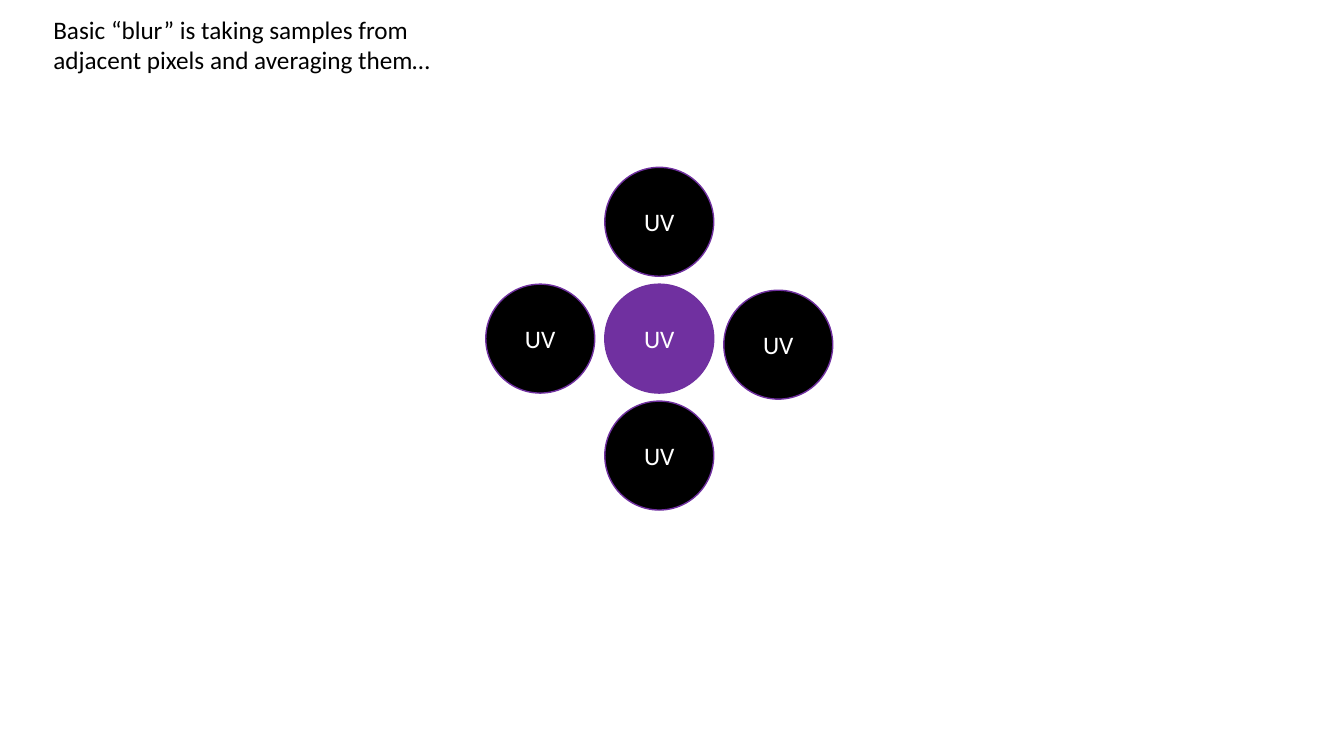
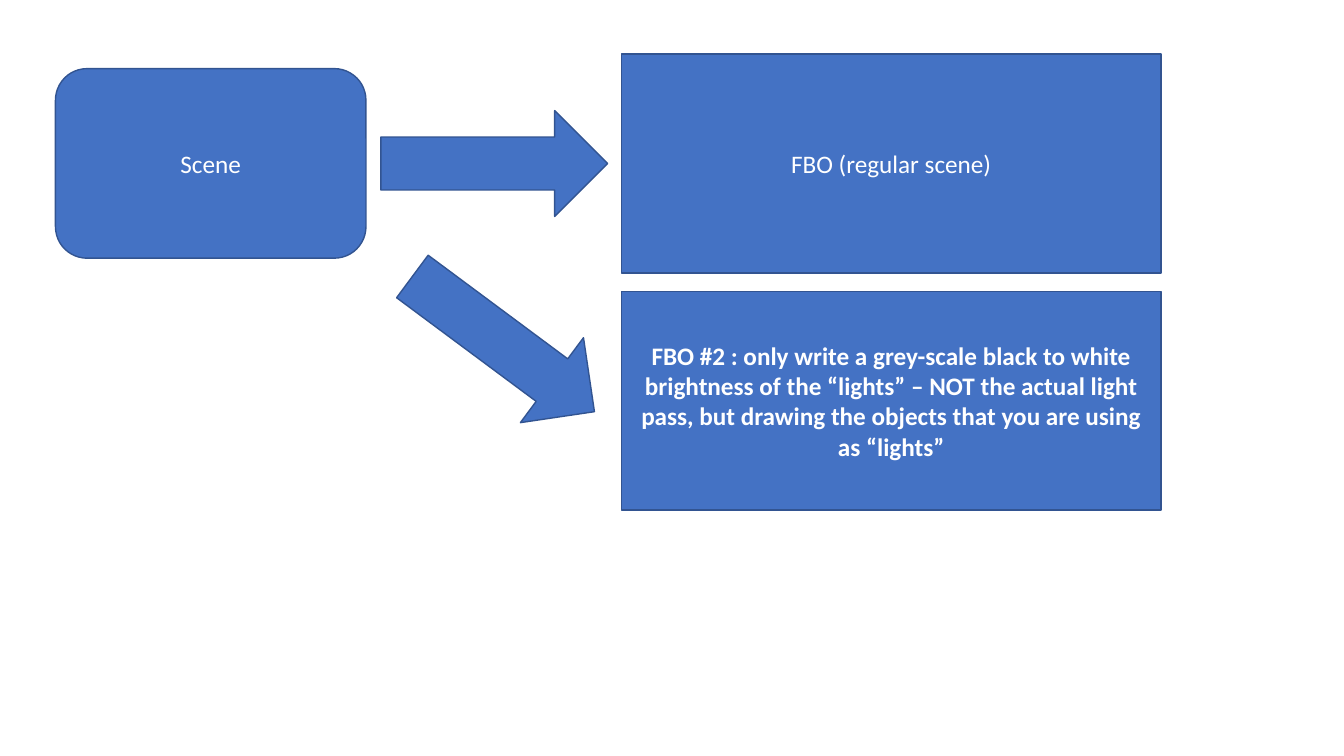
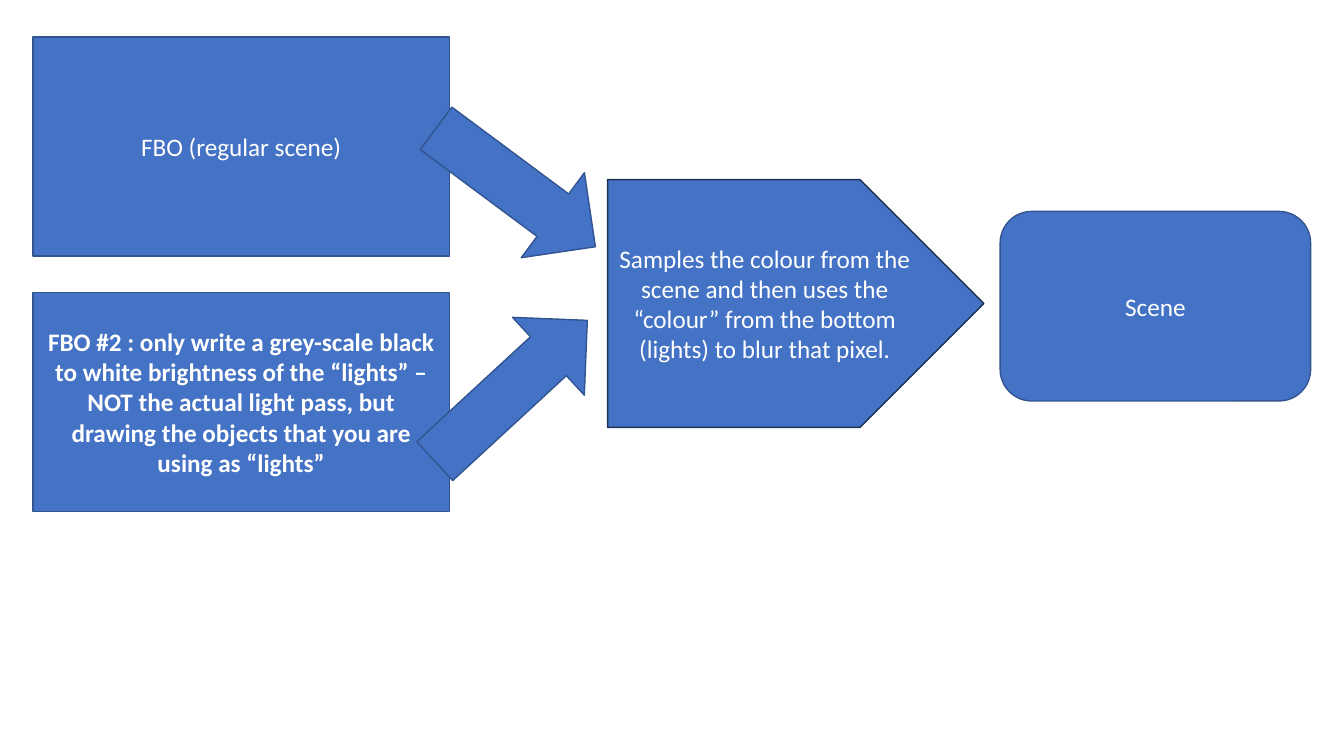
from dataclasses import dataclass

from pptx import Presentation
from pptx.dml.color import RGBColor
from pptx.enum.shapes import MSO_SHAPE
from pptx.enum.text import MSO_ANCHOR, PP_ALIGN
from pptx.slide import Slide
from pptx.util import Pt

ELLIPSE = MSO_SHAPE.OVAL
RECT = MSO_SHAPE.RECTANGLE
ROUND_RECT = MSO_SHAPE.ROUNDED_RECTANGLE
ARROW = MSO_SHAPE.RIGHT_ARROW
PENTAGON = MSO_SHAPE.PENTAGON
CENTER = PP_ALIGN.CENTER
MIDDLE = MSO_ANCHOR.MIDDLE

BLACK = RGBColor(0x00, 0x00, 0x00)
WHITE = RGBColor(0xFF, 0xFF, 0xFF)
PURPLE = RGBColor(0x70, 0x30, 0xA0)
BLUE = RGBColor(0x44, 0x72, 0xC4)
DARK_BLUE = RGBColor(0x32, 0x54, 0x91)
NAVY = RGBColor(0x1E, 0x32, 0x56)

FONT = "Calibri"
FONT_SIZE = 18
BLANK_LAYOUT = 6

CAPTION = "Basic “blur” is taking samples from adjacent pixels and averaging them…"
FBO_SCENE = "FBO (regular scene)"
FBO_LIGHTS = (
    "FBO #2 : only write a grey-scale black to white brightness of the “lights” "
    "– NOT the actual light pass, but drawing the objects that you are using as “lights”"
)
BLUR_STEP = (
    "Samples the colour from the scene and then uses the “colour” "
    "from the bottom (lights) to blur that pixel."
)

SAMPLE_SIZE = 77.8
SAMPLE_LEFT, SAMPLE_TOP = 432, 203
PITCH_X, PITCH_Y = 85, 83.5
RIGHT_DROP = 4.3

SCENE_W, SCENE_H = 221.8, 135.4
FBO_H = 156.4
ARROW_H = 75.6
ARROW_TILT = 36.6


@dataclass(frozen=True)
class Node:
    kind: MSO_SHAPE
    left: float
    top: float
    width: float
    height: float
    text: str = ""
    bold: bool = False
    rotation: float = 0
    fill: RGBColor = BLUE
    line: RGBColor = DARK_BLUE


def style_text(p, color: RGBColor, bold: bool = False) -> None:
    font = p.font
    font.name = FONT
    font.size = Pt(FONT_SIZE)
    font.bold = bold
    font.color.rgb = color


def add_node(s: Slide, node: Node) -> None:
    sp = s.shapes.add_shape(
        node.kind, Pt(node.left), Pt(node.top), Pt(node.width), Pt(node.height)
    )
    sp.shadow.inherit = False
    sp.rotation = node.rotation
    sp.fill.solid()
    sp.fill.fore_color.rgb = node.fill
    sp.line.color.rgb = node.line
    sp.line.width = Pt(1)
    if node.text:
        tf = sp.text_frame
        tf.word_wrap = True
        tf.vertical_anchor = MIDDLE
        p = tf.paragraphs[0]
        p.text = node.text
        p.alignment = CENTER
        style_text(p, WHITE, node.bold)


def add_caption(s: Slide) -> None:
    tf = s.shapes.add_textbox(Pt(31), Pt(6.5), Pt(316), Pt(51)).text_frame
    tf.word_wrap = True
    p = tf.paragraphs[0]
    p.text = CAPTION
    style_text(p, BLACK)


def sample(column: int, row: int, drop: float = 0, fill: RGBColor = BLACK) -> Node:
    return Node(
        ELLIPSE,
        SAMPLE_LEFT + column * PITCH_X,
        SAMPLE_TOP + row * PITCH_Y + drop,
        SAMPLE_SIZE,
        SAMPLE_SIZE,
        "UV",
        fill=fill,
        line=PURPLE,
    )


def scene(left: float, top: float) -> Node:
    return Node(ROUND_RECT, left, top, SCENE_W, SCENE_H, "Scene")


def fbo_pair(left: float, width: float, top: float, lights_top: float) -> list[Node]:
    return [
        Node(RECT, left, top, width, FBO_H, FBO_SCENE),
        Node(RECT, left, lights_top, width, FBO_H, FBO_LIGHTS, bold=True),
    ]


def arrow(left: float, top: float, width: float, rotation: float = 0) -> Node:
    return Node(ARROW, left, top, width, ARROW_H, rotation=rotation)


BLUR_SAMPLES = [
    sample(0, 0, fill=PURPLE),
    sample(-1, 0),
    sample(0, -1),
    sample(1, 0, RIGHT_DROP),
    sample(0, 1),
]

RENDER_PASSES = [
    scene(39.6, 49),
    *fbo_pair(444, 385.2, 38.7, 208),
    arrow(272, 79, 162),
    arrow(278.6, 208, 162, ARROW_TILT),
]

BLUR_PASS = [
    *fbo_pair(23.6, 297.4, 26.5, 208.8),
    arrow(290.9, 241.3, 148.3, 317.3),
    arrow(297.5, 96.2, 141.8, ARROW_TILT),
    scene(714.4, 151),
    Node(PENTAGON, 434, 128.3, 268.8, 177, BLUR_STEP, line=NAVY),
]


def main() -> None:
    prs = Presentation()
    prs.slide_width = Pt(960)
    prs.slide_height = Pt(540)
    for nodes in (BLUR_SAMPLES, RENDER_PASSES, BLUR_PASS):
        s = prs.slides.add_slide(prs.slide_layouts[BLANK_LAYOUT])
        for node in nodes:
            add_node(s, node)
    add_caption(prs.slides[0])
    prs.save("out.pptx")


if __name__ == "__main__":
    main()
